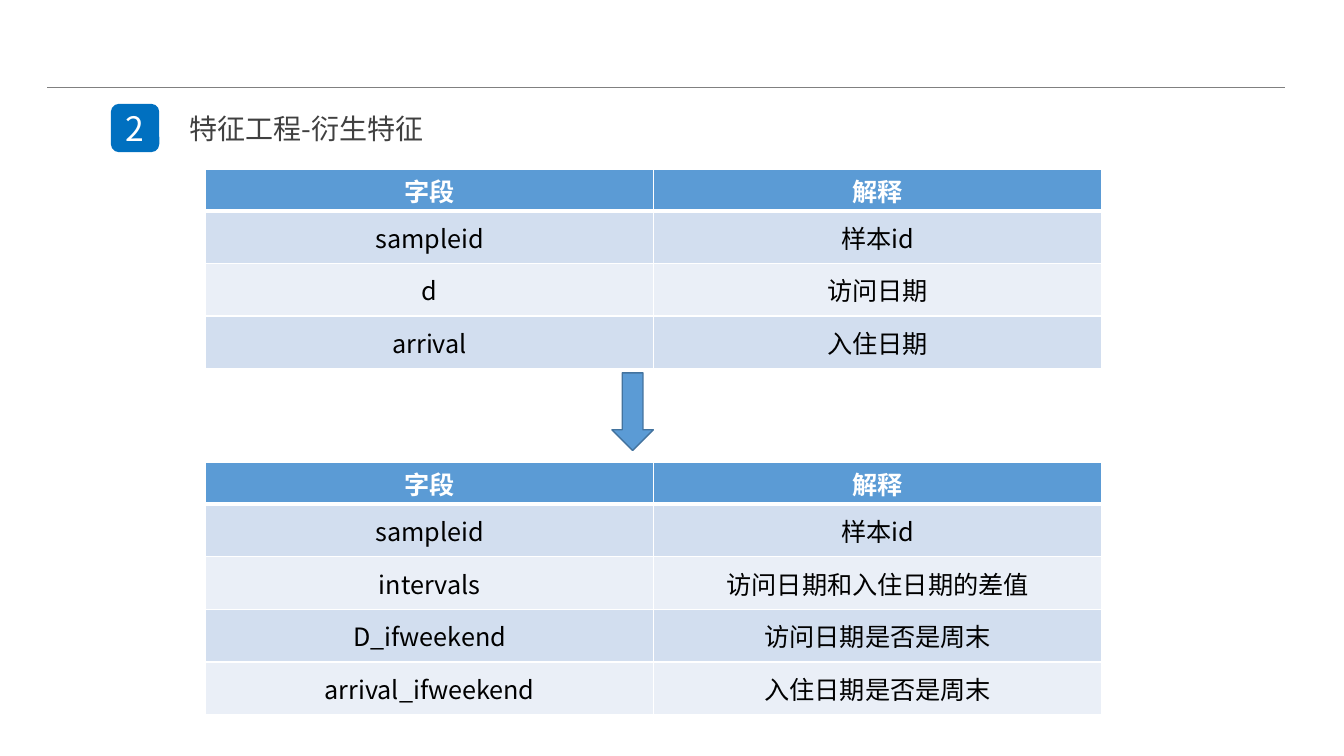
from pptx import Presentation
from pptx.dml.color import RGBColor
from pptx.enum.shapes import MSO_CONNECTOR, MSO_SHAPE
from pptx.enum.text import MSO_ANCHOR, MSO_AUTO_SIZE, PP_ALIGN
from pptx.oxml.ns import qn
from pptx.util import Inches, Pt
from lxml import etree

LEFT, CENTER = PP_ALIGN.LEFT, PP_ALIGN.CENTER
MIDDLE = MSO_ANCHOR.MIDDLE
NO_AUTOFIT = MSO_AUTO_SIZE.NONE
STRAIGHT = MSO_CONNECTOR.STRAIGHT
ROUNDED, DOWN_ARROW = MSO_SHAPE.ROUNDED_RECTANGLE, MSO_SHAPE.DOWN_ARROW

WIDTH, HEIGHT = Inches(13.333), Inches(7.5)
FONT = "Noto Sans CJK SC"
COLORS = {
    "rule": "808080", "badge": "0070C0", "title": "404040",
    "header": "5B9BD5", "odd": "D2DEEF", "even": "EAEFF7",
    "arrow_line": "43739E", "white": "FFFFFF", "black": "000000",
}

TABLE_LEFT, TABLE_WIDTH, ROW_HEIGHT = 15.3, 66.68, 5.47
HEADER = ("字段", "解释")
RAW_FIELDS = [HEADER, ("sampleid", "样本id"), ("d", "访问日期"), ("arrival", "入住日期")]
DERIVED_FIELDS = [
    HEADER,
    ("sampleid", "样本id"),
    ("intervals", "访问日期和入住日期的差值"),
    ("D_ifweekend", "访问日期是否是周末"),
    ("arrival_ifweekend", "入住日期是否是周末"),
]


def rgb(name):
    return RGBColor.from_string(COLORS[name])


def px(percent):
    """Length from a percentage of the slide's width."""
    return round(WIDTH * percent / 100)


def py(percent):
    """Length from a percentage of the slide's height."""
    return round(HEIGHT * percent / 100)


def box(left, top, width, height):
    return px(left), py(top), px(width), py(height)


def write(tf, text, size, color, align=CENTER, bold=False):
    tf.text = text
    p = tf.paragraphs[0]
    p.alignment = align
    r = p.runs[0]
    r.font.size = Pt(size)
    r.font.bold = bold
    r.font.name = FONT
    r.font.color.rgb = rgb(color)
    east_asian = etree.SubElement(r.font._element, qn("a:ea"))
    east_asian.set("typeface", FONT)


def add_rule(s, left, right, top):
    line = s.shapes.add_connector(STRAIGHT, px(left), py(top), px(right), py(top))
    line.line.color.rgb = rgb("rule")
    line.line.width = Pt(0.5)
    etree.SubElement(line._element.spPr, qn("a:effectLst"))


def add_filled(s, kind, place, fill, outline=None):
    sp = s.shapes.add_shape(kind, *box(*place))
    sp.shadow.inherit = False
    sp.fill.solid()
    sp.fill.fore_color.rgb = rgb(fill)
    if outline:
        sp.line.color.rgb = rgb(outline)
        sp.line.width = Pt(1)
    else:
        sp.line.fill.background()
    return sp


def add_badge(s, text, place):
    tf = add_filled(s, ROUNDED, place, "badge").text_frame
    tf.margin_left = tf.margin_right = tf.margin_top = tf.margin_bottom = 0
    tf.vertical_anchor = MIDDLE
    write(tf, text, 24, "white")


def set_title(s, text, place):
    title = s.shapes.title
    title.left, title.top, title.width, title.height = box(*place)
    tf = title.text_frame
    tf.word_wrap = True
    tf.auto_size = NO_AUTOFIT
    tf.vertical_anchor = MIDDLE
    write(tf, text, 20, "title", LEFT)


def set_borders(cell, top, bottom):
    """White borders, with the top and bottom widths in points."""
    tcPr = cell._tc.get_or_add_tcPr()
    for side, width in (("L", 1), ("R", 1), ("T", top), ("B", bottom)):
        ln = etree.SubElement(tcPr, qn(f"a:ln{side}"), w=str(Pt(width)))
        fill = etree.SubElement(ln, qn("a:solidFill"))
        etree.SubElement(fill, qn("a:srgbClr"), val=COLORS["white"])


def add_field_table(s, top, rows):
    place = box(TABLE_LEFT, top, TABLE_WIDTH, ROW_HEIGHT * len(rows))
    table = s.shapes.add_table(len(rows), len(HEADER), *place).table
    for i, row in enumerate(rows):
        is_header = i == 0
        fill = "header" if is_header else "odd" if i % 2 else "even"
        for j, text in enumerate(row):
            cell = table.cell(i, j)
            set_borders(cell, 3 if i == 1 else 1, 3 if is_header else 1)
            cell.fill.solid()
            cell.fill.fore_color.rgb = rgb(fill)
            cell.vertical_anchor = MIDDLE
            cell.margin_left = cell.margin_right = Inches(0.21)
            cell.margin_top = cell.margin_bottom = Inches(0 if is_header else 0.08)
            write(cell.text_frame, text, 18,
                  "white" if is_header else "black", bold=is_header)


def main():
    prs = Presentation()
    prs.slide_width, prs.slide_height = WIDTH, HEIGHT
    s = prs.slides.add_slide(prs.slide_layouts.get_by_name("Title Only"))
    add_rule(s, 3.53, 95.63, 11.6)
    add_badge(s, "2", (8.25, 13.73, 3.6, 6.4))
    set_title(s, "特征工程-衍生特征", (13.35, 13.33, 34.28, 7.2))
    add_field_table(s, 22.4, RAW_FIELDS)
    add_field_table(s, 61.2, DERIVED_FIELDS)
    add_filled(s, DOWN_ARROW, (45.53, 49.33, 3.08, 10.27), "header", "arrow_line")
    prs.save("out.pptx")


if __name__ == "__main__":
    main()
